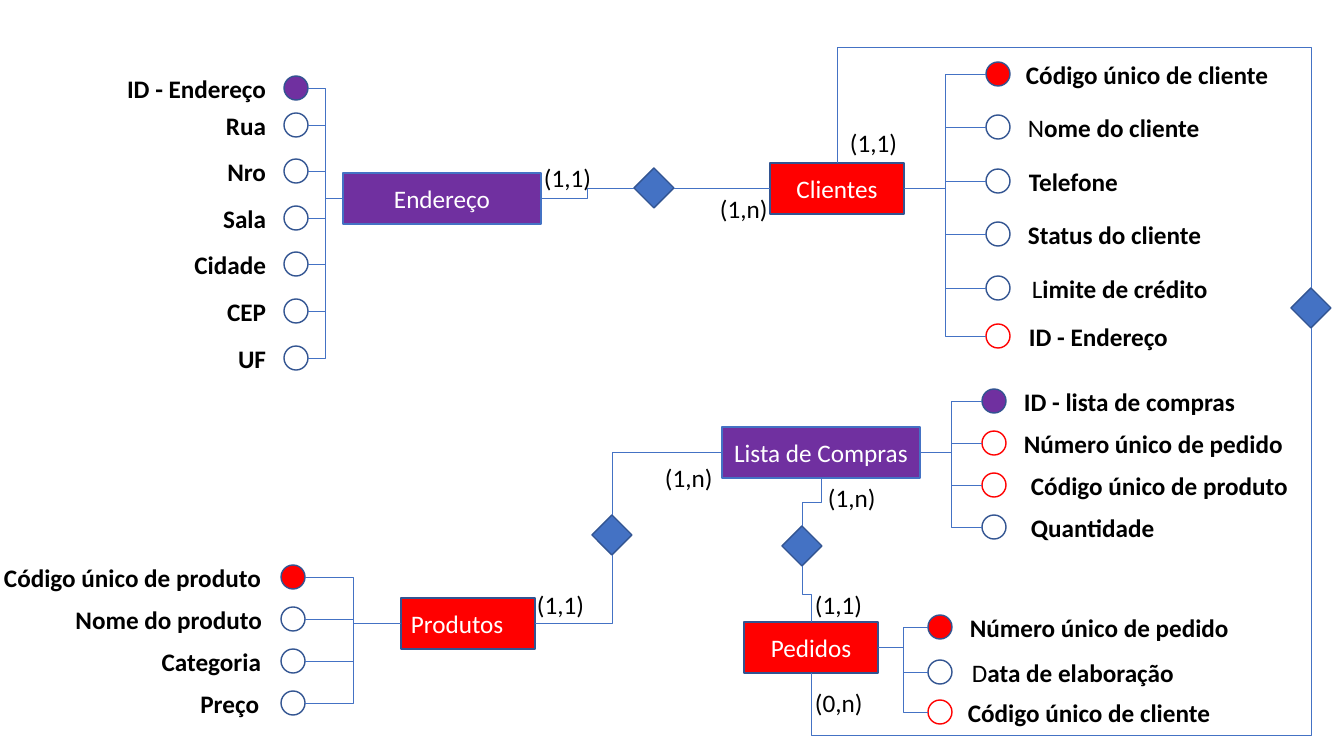
from dataclasses import dataclass

from lxml import etree
from pptx import Presentation
from pptx.dml.color import RGBColor
from pptx.enum.shapes import MSO_CONNECTOR, MSO_SHAPE
from pptx.enum.text import MSO_ANCHOR, PP_ALIGN
from pptx.oxml.ns import qn
from pptx.util import Pt

RECTANGLE, OVAL, DIAMOND = MSO_SHAPE.RECTANGLE, MSO_SHAPE.OVAL, MSO_SHAPE.DIAMOND
ELBOW = MSO_CONNECTOR.ELBOW
LEFT, CENTER, RIGHT = PP_ALIGN.LEFT, PP_ALIGN.CENTER, PP_ALIGN.RIGHT
MIDDLE = MSO_ANCHOR.MIDDLE

RED = RGBColor(0xFF, 0x00, 0x00)
PURPLE = RGBColor(0x70, 0x30, 0xA0)
BLUE = RGBColor(0x44, 0x72, 0xC4)
NAVY = RGBColor(0x32, 0x54, 0x91)
WHITE = RGBColor(0xFF, 0xFF, 0xFF)
BLACK = RGBColor(0x00, 0x00, 0x00)

SCALE = 914400 / 100.8
DOT = 24
LABEL_WIDTH, LABEL_HEIGHT = 290, 40
DIAMOND_SIZE = 40

# Fill and outline of the attribute circles
PLAIN, FOREIGN = (WHITE, NAVY), (WHITE, RED)
RED_KEY, PURPLE_KEY = (RED, NAVY), (PURPLE, NAVY)


@dataclass
class Box:
    x: int
    y: int
    width: int
    height: int

    @property
    def center(self):
        return self.x + self.width // 2, self.y + self.height // 2

    @property
    def left(self):
        return self.x, self.center[1]

    @property
    def right(self):
        return self.x + self.width, self.center[1]

    @property
    def top(self):
        return self.center[0], self.y

    @property
    def bottom(self):
        return self.center[0], self.y + self.height


@dataclass
class Attribute:
    label: str
    dy: int             # circle centre, from the entity's centre
    gap: int            # from circle to label box
    colors: tuple = PLAIN
    light_letters: int = 0


def px(*lengths):
    return [round(length * SCALE) for length in lengths]


def style_run(run, color, bold=False):
    run.font.name, run.font.size = "Calibri", Pt(18)
    run.font.bold, run.font.color.rgb = bold, color


def add_block(slide, preset, box, fill, outline):
    block = slide.shapes.add_shape(preset, *px(box.x, box.y, box.width, box.height))
    block.shadow.inherit = False
    block.fill.solid()
    block.fill.fore_color.rgb = fill
    block.line.color.rgb, block.line.width = outline, Pt(1)
    return block


def add_label(slide, box, text, align=LEFT, bold=False, light_letters=0, wrap=True):
    frame = slide.shapes.add_textbox(*px(box.x, box.y, box.width, box.height)).text_frame
    frame.word_wrap = wrap
    paragraph = frame.paragraphs[0]
    paragraph.alignment = align
    for part, heavy in ((text[:light_letters], False), (text[light_letters:], bold)):
        if part:
            run = paragraph.add_run()
            run.text = part
            style_run(run, BLACK, heavy)


def add_link(slide, start, end, vertical=False, corner=False, turn_y=None):
    """Elbow line; a vertical one leaves its start downwards or upwards."""
    (x1, y1), (x2, y2) = start, end
    rotation = 0
    if vertical:
        # The unturned frame swaps width and height about the same centre
        rotation = 270 if x2 > x1 else 90
        cx, cy = (x1 + x2) / 2, (y1 + y2) / 2
        half_w, half_h = abs(y2 - y1) / 2, abs(x2 - x1) / 2
        direction = -1 if x2 > x1 else 1
        x1, x2 = cx - direction * half_w, cx + direction * half_w
        y1, y2 = cy - half_h, cy + half_h
    link = slide.shapes.add_connector(ELBOW, *px(x1, y1, x2, y2))
    link.line.color.rgb, link.line.width = BLUE, Pt(0.5)
    properties = link._element.spPr
    etree.SubElement(properties, qn("a:effectLst"))
    if rotation:
        properties.find(qn("a:xfrm")).set("rot", str(rotation * 60000))
    geometry = properties.find(qn("a:prstGeom"))
    if corner:
        geometry.set("prst", "bentConnector2")
    if turn_y is not None:
        share = (turn_y - start[1]) / (end[1] - start[1])
        guide = etree.SubElement(geometry.find(qn("a:avLst")), qn("a:gd"))
        guide.set("name", "adj1")
        guide.set("fmla", f"val {round(share * 100000)}")


def add_entity(slide, box, name, fill, outline, side, reach, attributes, align=CENTER):
    """Entity with its attributes on one side (-1 left, 1 right)."""
    block = add_block(slide, RECTANGLE, box, fill, outline)
    frame = block.text_frame
    frame.text = name
    frame.vertical_anchor = MIDDLE
    frame.paragraphs[0].alignment = align
    style_run(frame.paragraphs[0].runs[0], WHITE)

    origin = box.right if side > 0 else box.left
    inner_x = origin[0] + side * reach
    outer_x = inner_x + side * DOT
    for item in attributes:
        y = box.center[1] + item.dy
        dot = Box(min(inner_x, outer_x), y - DOT // 2, DOT, DOT)
        add_block(slide, OVAL, dot, *item.colors)
        label_x = outer_x + side * item.gap - (LABEL_WIDTH if side < 0 else 0)
        label_box = Box(label_x, y - LABEL_HEIGHT // 2, LABEL_WIDTH, LABEL_HEIGHT)
        add_label(slide, label_box, item.label, RIGHT if side < 0 else LEFT,
                  True, item.light_letters)
        add_link(slide, origin, (inner_x, y))


def add_relationship(slide, x, y):
    half = DIAMOND_SIZE // 2
    box = Box(x - half, y - half, DIAMOND_SIZE, DIAMOND_SIZE)
    add_block(slide, DIAMOND, box, BLUE, NAVY)
    return box


def build_diagram(slide):
    endereco, clientes = Box(343, 173, 198, 51), Box(770, 163, 134, 51)
    lista, produtos = Box(722, 427, 198, 51), Box(401, 598, 134, 51)
    pedidos = Box(744, 622, 134, 51)

    # Entities and attributes
    add_entity(slide, produtos, "Produtos", RED, NAVY, -1, 96, [
        Attribute("Código único de produto", -46, 10, RED_KEY),
        Attribute("Nome do produto", -4, 9),
        Attribute("Categoria", 38, 10),
        Attribute("Preço", 80, 12)], LEFT)
    add_entity(slide, pedidos, "Pedidos", RED, NAVY, 1, 50, [
        Attribute("Número único de pedido", -20, 8, RED_KEY),
        Attribute("Data de elaboração", 25, 10, light_letters=1),
        Attribute("Código único de cliente", 65, 6, FOREIGN)])
    add_entity(slide, endereco, "Endereço", PURPLE, BLUE, -1, 35, [
        Attribute("ID - Endereço", -110, 8, PURPLE_KEY),
        Attribute("Rua", -73, 8),
        Attribute("Nro", -27, 8),
        Attribute("Sala", 20, 8),
        Attribute("Cidade", 66, 8),
        Attribute("CEP", 113, 8),
        Attribute("UF", 160, 8)])
    add_entity(slide, clientes, "Clientes", RED, NAVY, 1, 82, [
        Attribute("Código único de cliente", -114, 6, RED_KEY),
        Attribute("Nome do cliente", -61, 8, light_letters=1),
        Attribute("Telefone", -7, 9),
        Attribute("Status do cliente", 46, 8),
        Attribute("Limite de crédito", 100, 12, light_letters=1),
        Attribute("ID - Endereço", 148, 9, FOREIGN)])
    add_entity(slide, lista, "Lista de Compras", PURPLE, BLUE, 1, 62, [
        Attribute("ID - lista de compras", -51, 8, PURPLE_KEY),
        Attribute("Número único de pedido", -9, 8, FOREIGN),
        Attribute("Código único de produto", 33, 15, FOREIGN),
        Attribute("Quantidade", 75, 15)])

    # Cardinalities
    for text, x, y in (("(1,1)", 534, 157), ("(1,n)", 710, 188), ("(1,1)", 840, 122),
                       ("(0,n)", 805, 682), ("(1,n)", 818, 477), ("(1,1)", 805, 584),
                       ("(1,1)", 527, 584), ("(1,n)", 655, 457)):
        add_label(slide, Box(x, y, 68, LABEL_HEIGHT), text, wrap=False)

    # Relationships
    residence = add_relationship(slide, 654, 188)
    order = add_relationship(slide, 1311, 308)
    order_list = add_relationship(slide, 802, 546)
    product_list = add_relationship(slide, 612, 535)
    add_link(slide, endereco.right, residence.left)
    add_link(slide, residence.right, clientes.left)
    add_link(slide, clientes.top, order.top, vertical=True, turn_y=47)
    add_link(slide, order.bottom, pedidos.bottom, vertical=True, turn_y=735)
    add_link(slide, lista.bottom, order_list.top, vertical=True)
    add_link(slide, order_list.bottom, pedidos.top, vertical=True)
    add_link(slide, lista.left, product_list.top, corner=True)
    add_link(slide, product_list.bottom, produtos.right, vertical=True, corner=True)


presentation = Presentation()
presentation.slide_width, presentation.slide_height = px(1344, 756)
build_diagram(presentation.slides.add_slide(presentation.slide_layouts[6]))
presentation.save("out.pptx")
